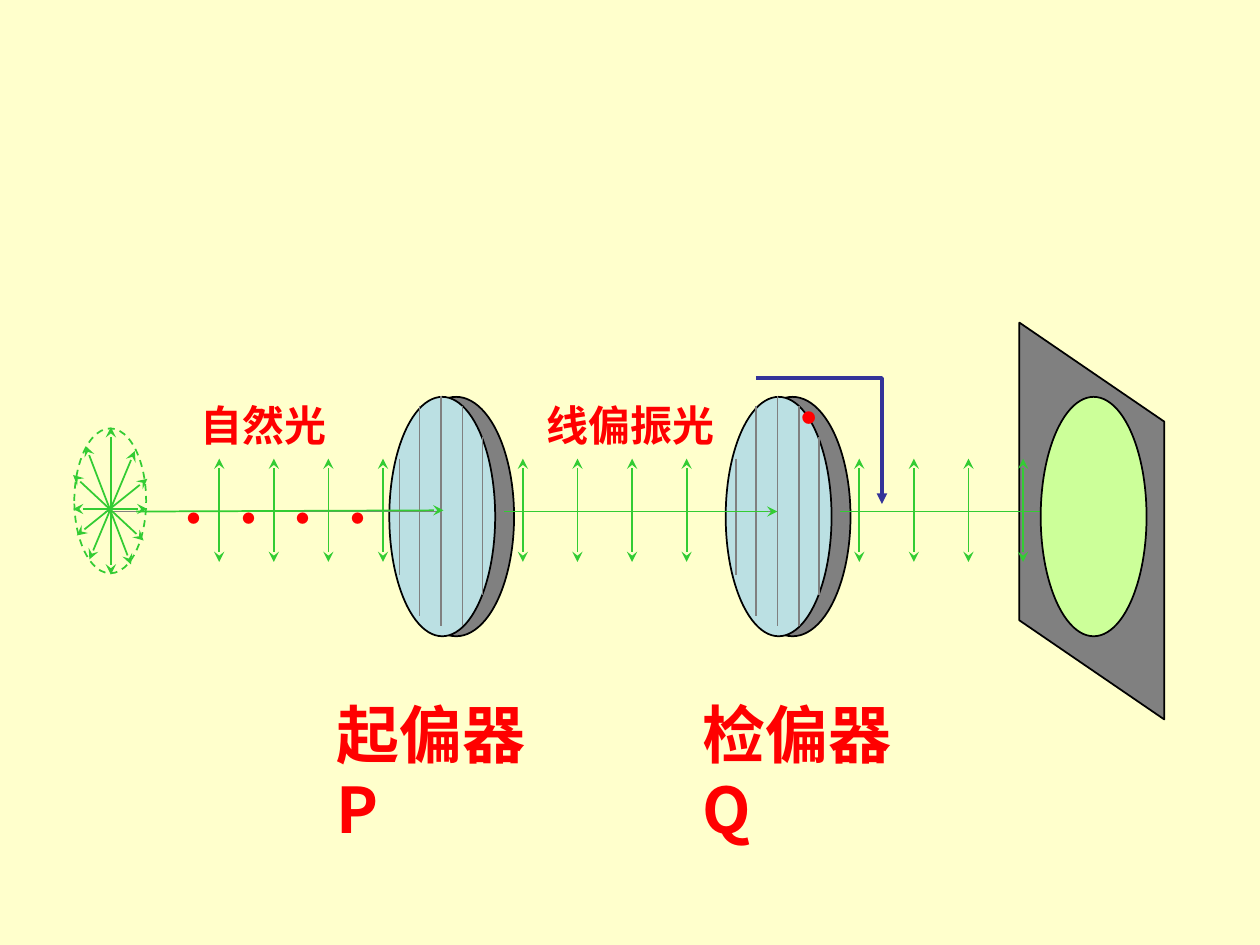
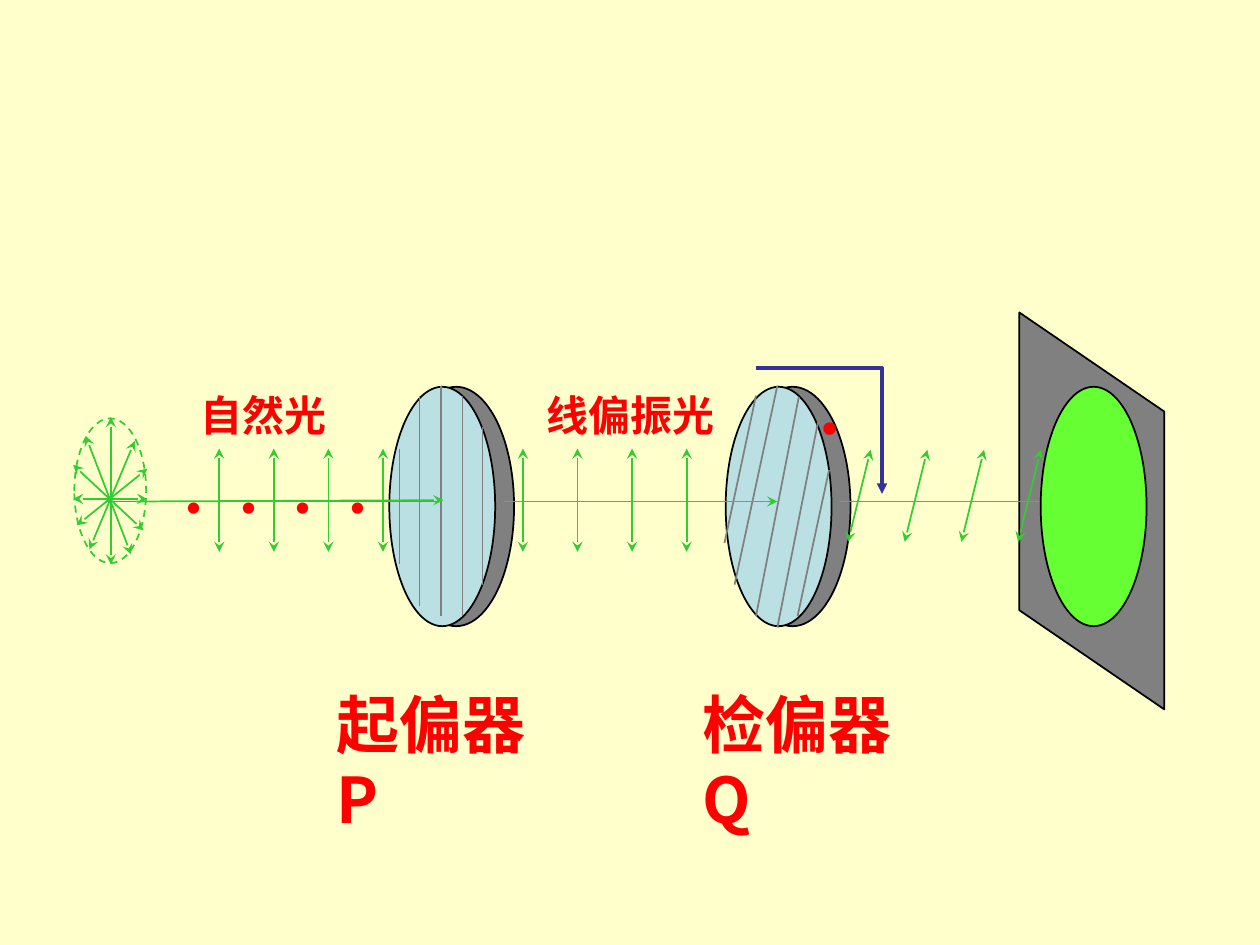
import pptx
import pptx.util
import pptx.dml.color
import pptx.enum.dml
import pptx.enum.shapes
import pptx.enum.text
import pptx.oxml.ns
from lxml import etree

Inches = pptx.util.Inches
SHAPE = pptx.enum.shapes.MSO_SHAPE
qn = pptx.oxml.ns.qn

COLORS = {
    "background": "FFFFCC", "black": "000000", "gray": "808080",
    "glass": "BBE0E3", "ray": "33CC33", "label": "FF0000",
    "rotation": "333399", "lit": "CCFF99", "bright": "66FF33",
}
CJK_FONT = "Noto Sans CJK SC"
DOT_FONT = "TeX Gyre Bonum"

AXIS_Y = 4.06
PITCH = 0.4333
POLARIZER_X, ANALYZER_X = 3.5, 6.17

# Directions of vibration in natural light: x1, y1, x2, y2
STAR_RAYS = [
    (0.88, 3.39, 0.88, 4.56), (1.07, 3.58, 0.71, 4.44),
    (0.58, 3.77, 1.14, 4.29), (0.58, 4.04, 1.17, 4.04),
    (0.68, 3.54, 1.04, 4.48), (0.61, 4.25, 1.17, 3.8),
]
# Grating lines relative to the disc's x: x1, y1, x2, y2
UPRIGHT_GRATING = [
    (-0.33, 3.64, -0.33, 4.56), (-0.17, 3.22, -0.17, 4.89),
    (0, 3.14, 0, 4.97), (0.17, 3.22, 0.17, 4.97), (0.33, 3.47, 0.33, 4.72),
]
TILTED_GRATING = [
    (-0.17, 3.22, -0.42, 4.39), (0, 3.14, -0.34, 4.72),
    (0.17, 3.23, -0.17, 4.97), (0.33, 3.39, 0, 5.06), (0.41, 3.81, 0.16, 4.97),
]
ARC_CURVES = [
    ((6.28, 2.98), (6.3, 2.98), (6.32, 2.97), (6.33, 2.97)),
    ((6.33, 2.97), (6.53, 2.97), (6.71, 3.24), (6.79, 3.66)),
]


def rgb(name):
    return pptx.dml.color.RGBColor.from_string(COLORS[name])


def set_line(sp, color, width=1, head=None, tail=None):
    sp.line.color.rgb = rgb(color)
    sp.line.width = pptx.util.Pt(width)
    ln = sp.line._get_or_add_ln()
    for tag, end in (("a:headEnd", head), ("a:tailEnd", tail)):
        if end:
            etree.SubElement(ln, qn(tag), type=end)


def add_line(shapes, x1, y1, x2, y2, color="ray", head=None, tail=None):
    sp = shapes.add_connector(pptx.enum.shapes.MSO_CONNECTOR.STRAIGHT,
                              Inches(x1), Inches(y1), Inches(x2), Inches(y2))
    set_line(sp, color, head=head, tail=tail)
    etree.SubElement(sp._element.spPr, qn("a:effectLst"))


def add_vibration(shapes, x1, y1, x2, y2):
    """Double-headed arrow showing a direction of vibration."""
    add_line(shapes, x1, y1, x2, y2, head="stealth", tail="stealth")


def add_outlined(shapes, kind, x, y, w, h, fill=None, line="black"):
    sp = shapes.add_shape(kind, Inches(x), Inches(y), Inches(w), Inches(h))
    sp.shadow.inherit = False
    if fill:
        sp.fill.solid()
        sp.fill.fore_color.rgb = rgb(fill)
    else:
        sp.fill.background()
    set_line(sp, line)
    return sp


def add_text(shapes, text, x, y, w, h, size, font=CJK_FONT, wrap=False):
    tf = shapes.add_textbox(Inches(x), Inches(y), Inches(w), Inches(h)).text_frame
    tf.word_wrap = wrap
    tf.auto_size = pptx.enum.text.MSO_AUTO_SIZE.SHAPE_TO_FIT_TEXT
    if wrap:
        tf.margin_right = Inches(0.4)
        tf.auto_size = pptx.enum.text.MSO_AUTO_SIZE.NONE
    p = tf.paragraphs[0]
    p.text = text
    p.font.size = pptx.util.Pt(size)
    p.font.bold = True
    p.font.name = font
    p.font.color.rgb = rgb("label")
    etree.SubElement(p._p.find(".//" + qn("a:defRPr")), qn("a:ea"), typeface=font)


def add_disc(shapes, x):
    """Thick glass disc whose front face is centred on x."""
    add_outlined(shapes, SHAPE.OVAL, x - 0.34, 3.15, 0.92, 1.9, "gray")
    add_outlined(shapes, SHAPE.OVAL, x - 0.41, 3.15, 0.84, 1.9, "glass")


def add_grating(shapes, x, lines):
    for x1, y1, x2, y2 in lines:
        add_line(shapes, x + x1, y1, x + x2, y2, "gray")


def add_vibration_row(shapes, x, y1, y2, slant=0, pitch=PITCH):
    for i in range(4):
        add_vibration(shapes, x + i * pitch, y1, x + i * pitch - slant, y2)


def add_natural_light(shapes):
    group = shapes.add_group_shape()
    oval = add_outlined(group.shapes, SHAPE.OVAL, 0.59, 3.4, 0.57, 1.15, line="ray")
    oval.line.dash_style = pptx.enum.dml.MSO_LINE.DASH
    for ray in STAR_RAYS:
        add_vibration(group.shapes, *ray)


def bezier(curve, t):
    weights = ((1 - t) ** 3, 3 * t * (1 - t) ** 2, 3 * t * t * (1 - t), t ** 3)
    return tuple(sum(w * pt[axis] for w, pt in zip(weights, curve)) for axis in (0, 1))


def add_rotation_arc(shapes):
    steps = 16
    points = [bezier(c, i / steps) for c in ARC_CURVES for i in range(1, steps + 1)]
    builder = shapes.build_freeform(*ARC_CURVES[0][0], scale=Inches(1))
    builder.add_line_segments(points, close=False)
    sp = builder.convert_to_shape()
    sp.shadow.inherit = False
    sp.fill.background()
    set_line(sp, "rotation", 2, tail="triangle")


def build_slide(prs, tilted, spot, marker, shift):
    """Draw the experiment; marker is the corner of the analyzer's dot."""
    slide = prs.slides.add_slide(prs.slide_layouts[6])
    slide.background.fill.solid()
    slide.background.fill.fore_color.rgb = rgb("background")
    shapes = slide.shapes

    add_disc(shapes, POLARIZER_X)
    add_disc(shapes, ANALYZER_X)
    screen = add_outlined(shapes, SHAPE.PARALLELOGRAM, 7.09, 3.56, 3.15, 1.15, "gray")
    screen.rotation = 90
    screen.adjustments[0] = 0.684

    add_line(shapes, 4, AXIS_Y, ANALYZER_X, AXIS_Y, "gray")
    add_line(shapes, 6.67, AXIS_Y, 8.67, AXIS_Y, tail="stealth")
    add_line(shapes, 0.83, AXIS_Y, POLARIZER_X, AXIS_Y, "gray")
    add_natural_light(shapes)

    add_vibration_row(shapes, 1.74, 3.64, 4.46)
    for i in range(4):
        add_text(shapes, ".", 1.36 + i * PITCH, 3.61, 0.37, 0.7, 36, DOT_FONT)
    add_vibration_row(shapes, 4.15, 3.64, 4.46)
    if tilted:
        add_vibration_row(shapes, 6.91, 3.65, 4.38, slant=0.18, pitch=0.45)
    else:
        add_vibration_row(shapes, 6.82, 3.64, 4.46)
    add_grating(shapes, POLARIZER_X, UPRIGHT_GRATING)
    add_grating(shapes, ANALYZER_X, TILTED_GRATING if tilted else UPRIGHT_GRATING)

    add_line(shapes, 4, AXIS_Y, ANALYZER_X, AXIS_Y, tail="stealth")
    add_line(shapes, 1.08, AXIS_Y, 3.52, 4.05, tail="stealth")
    add_rotation_arc(shapes)
    add_text(shapes, ".", *marker, 0.39, 0.77, 40, DOT_FONT)
    add_text(shapes, "起偏器P", 2.57, 5.47, 2.12, 0.7, 36, wrap=True)
    add_text(shapes, "检偏器Q", 5.48, 5.47, 2.12, 0.7, 36, wrap=True)
    add_text(shapes, "自然光", 1.49, 3.12, 1.2, 0.5, 24)
    add_text(shapes, "线偏振光", 4.24, 3.12, 1.54, 0.5, 24)
    add_outlined(shapes, SHAPE.OVAL, 8.26, 3.15, 0.84, 1.9, spot)

    for sp in shapes:
        sp.top = sp.top + Inches(shift)


def main():
    prs = pptx.Presentation()
    prs.slide_width, prs.slide_height = Inches(10), Inches(7.5)
    build_slide(prs, tilted=False, spot="lit", marker=(6.23, 2.76), shift=0)
    build_slide(prs, tilted=True, spot="bright", marker=(6.4, 2.92), shift=-0.08)
    prs.save("out.pptx")


if __name__ == "__main__":
    main()
